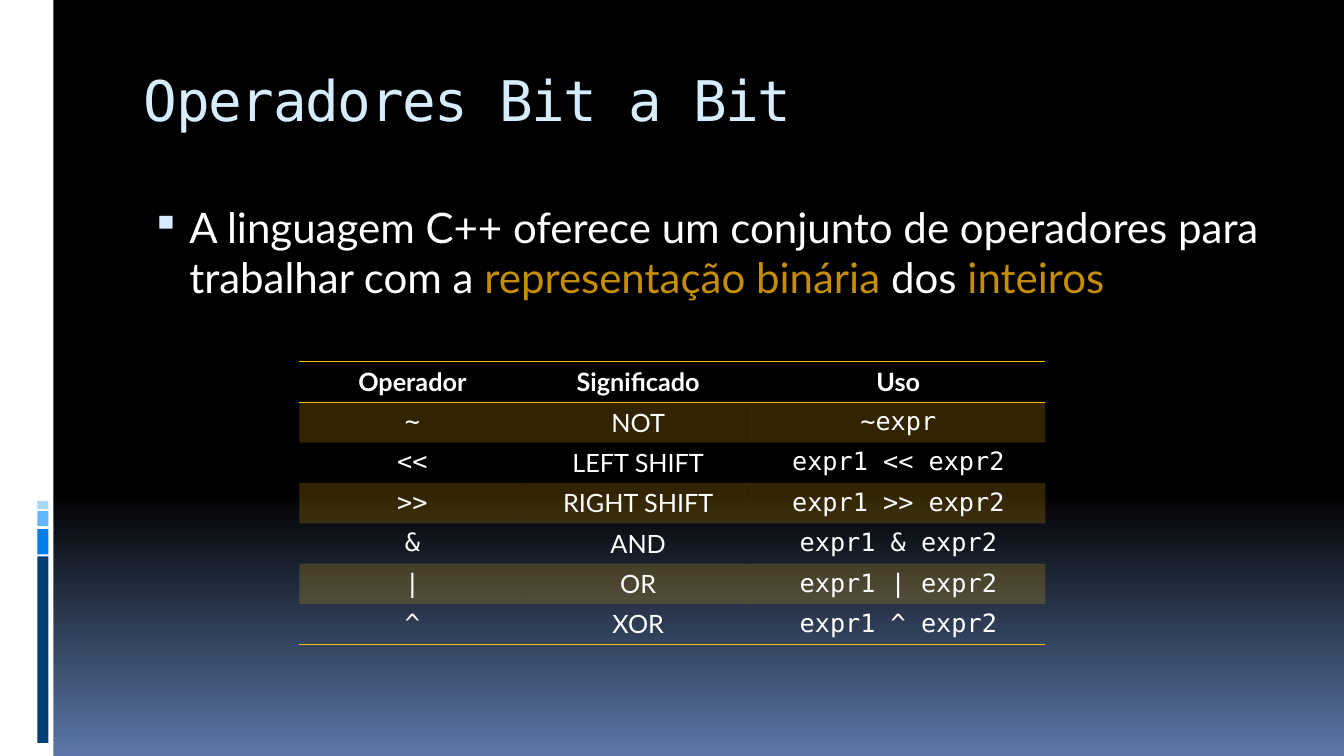
"""Build the slide on the bitwise operators of C++."""
from typing import NamedTuple

from lxml.etree import SubElement
from pptx import Presentation
from pptx.dml.color import RGBColor
from pptx.enum.shapes import MSO_SHAPE
from pptx.enum.text import MSO_ANCHOR, PP_ALIGN
from pptx.oxml import parse_xml
from pptx.oxml.ns import nsdecls, qn
from pptx.util import Inches, Pt

BLACK = RGBColor(0x00, 0x00, 0x00)
WHITE = RGBColor(0xFF, 0xFF, 0xFF)
HORIZON = RGBColor(0x5B, 0x77, 0xA8)
PALE_BLUE = RGBColor(0xD6, 0xEC, 0xFF)
NAVY = RGBColor(0x00, 0x3F, 0x75)
BLUE = RGBColor(0x00, 0x7E, 0xEB)
SKY = RGBColor(0x61, 0xB6, 0xFF)
ICE = RGBColor(0xA7, 0xD6, 0xFF)
AMBER = RGBColor(0xFE, 0xB8, 0x0A)
OCHRE = RGBColor(0xC5, 0x8D, 0x01)
MONO = "DejaVu Sans Mono"
SANS = "Lato"
PLAIN_TABLE_STYLE = "{2D5ABB26-0587-4C30-8999-92F81FD0307C}"


class Bar(NamedTuple):
    left: float
    top: float
    width: float
    height: float
    color: RGBColor


class Operator(NamedTuple):
    symbol: str
    meaning: str
    usage: str


BARS = [
    Bar(0, 0, 0.53, 7.5, WHITE),
    Bar(0.37, 5.52, 0.11, 1.85, NAVY),
    Bar(0.37, 5.25, 0.11, 0.25, BLUE),
    Bar(0.37, 5.07, 0.11, 0.15, SKY),
    Bar(0.37, 4.97, 0.11, 0.08, ICE),
]
SENTENCE = [
    ("A linguagem C++ oferece um conjunto de operadores para trabalhar com a ", WHITE),
    ("representação binária", OCHRE),
    (" dos ", WHITE),
    ("inteiros", OCHRE),
]
HEADINGS = Operator("Operador", "Significado", "Uso")
OPERATORS = [
    Operator("~", "NOT", "~expr"),
    Operator("<<", "LEFT SHIFT", "expr1 << expr2"),
    Operator(">>", "RIGHT SHIFT", "expr1 >> expr2"),
    Operator("&", "AND", "expr1 & expr2"),
    Operator("|", "OR", "expr1 | expr2"),
    Operator("^", "XOR", "expr1 ^ expr2"),
]
COLUMN_FONTS = Operator(MONO, SANS, MONO)
COLUMN_WIDTHS = [2.24, 2.24, 2.92]
ROW_HEIGHT = 0.4


def add_span(para, text: str, color: RGBColor, **formats):
    """Add a run with its colour and font formats."""
    span = para.add_run()
    span.text = text
    span.font.color.rgb = color
    for name, value in formats.items():
        setattr(span.font, name, value)
    return span


def paint_background(page) -> None:
    """Fade the page from black down to the horizon blue."""
    fill = page.background.fill
    fill.gradient()
    fill.gradient_angle = 270
    for stop, (position, color) in zip(fill.gradient_stops, [(0.65, BLACK), (1, HORIZON)]):
        stop.position = position
        stop.color.rgb = color


def add_bar(page, bar: Bar) -> None:
    """Draw one plain bar of the side rail."""
    shape = page.shapes.add_shape(
        MSO_SHAPE.RECTANGLE, Inches(bar.left), Inches(bar.top), Inches(bar.width), Inches(bar.height)
    )
    shape.shadow.inherit = False
    shape.fill.solid()
    shape.fill.fore_color.rgb = bar.color
    shape.line.fill.background()


def add_text_frame(page, top: float, height: float, **formats):
    """Add a wrapping text box in the main column."""
    box = page.shapes.add_textbox(Inches(1.33), Inches(top), Inches(11.33), Inches(height))
    settings = {"word_wrap": True, "vertical_anchor": MSO_ANCHOR.TOP} | formats
    for name, value in settings.items():
        setattr(box.text_frame, name, value)
    return box.text_frame


def add_title(page) -> None:
    """Write the title with slightly tightened letters."""
    frame = add_text_frame(page, 0.56, 1, margin_top=Inches(0.09))
    span = add_span(frame.paragraphs[0], "Operadores Bit a Bit", PALE_BLUE, name=MONO, size=Pt(40))
    span.font.fill.solid()
    span.font.color.rgb = PALE_BLUE
    span.font._element.set("spc", "-100")


def add_sentence(page) -> None:
    """Write the bulleted sentence with its highlighted terms."""
    para = add_text_frame(page, 1.95, 5).paragraphs[0]
    para.space_before = Pt(7)
    properties = para._p.get_or_add_pPr()
    properties.set("marL", str(Inches(0.45)))
    properties.set("indent", str(Inches(-0.38)))
    SubElement(SubElement(properties, qn("a:buClr")), qn("a:srgbClr"), val=str(PALE_BLUE))
    SubElement(properties, qn("a:buSzPct"), val="95000")
    SubElement(properties, qn("a:buChar"), char="▪")
    for text, color in SENTENCE:
        add_span(para, text, color, name=SANS, size=Pt(30))


def set_borders(cell, sides: list[str]) -> None:
    """Rule the given sides of a cell in amber."""
    properties = cell._tc.get_or_add_tcPr()
    for index, side in enumerate(sides):
        properties.insert(index, parse_xml(
            f'<a:ln{side} {nsdecls("a")} w="{Pt(1)}"><a:solidFill>'
            f'<a:srgbClr val="{AMBER}"/></a:solidFill></a:ln{side}>'
        ))


def fill_cell(cell, banded: bool) -> None:
    """Tint a banded cell with faint amber, or leave it clear."""
    if not banded:
        cell.fill.background()
        return
    cell.fill.solid()
    cell.fill.fore_color.rgb = AMBER
    for color in cell._tc.tcPr.iter(qn("a:srgbClr")):
        SubElement(color, qn("a:alpha"), val="20000")


def add_operator_table(page) -> None:
    """Lay out the operators, their meaning and their usage."""
    rows = [HEADINGS, *OPERATORS]
    frame = page.shapes.add_table(
        len(rows), len(COLUMN_WIDTHS), Inches(2.97), Inches(3.59),
        Inches(sum(COLUMN_WIDTHS)), Inches(ROW_HEIGHT * len(rows)),
    )
    table = frame.table
    table.first_row = table.horz_banding = False
    next(frame.element.iter(qn("a:tableStyleId"))).text = PLAIN_TABLE_STYLE
    for column, width in zip(table.columns, COLUMN_WIDTHS):
        column.width = Inches(width)
    borders = {0: ["T", "B"], len(rows) - 1: ["B"]}
    for row_index, row in enumerate(rows):
        table.rows[row_index].height = Inches(ROW_HEIGHT)
        heading = row_index == 0
        for column_index, (text, font) in enumerate(zip(row, COLUMN_FONTS)):
            cell = table.cell(row_index, column_index)
            para = cell.text_frame.paragraphs[0]
            para.alignment = PP_ALIGN.CENTER
            add_span(para, text, WHITE, name=SANS if heading else font, size=Pt(18), bold=heading)
            fill_cell(cell, row_index % 2 == 1)
            set_borders(cell, borders.get(row_index, []))


def main() -> None:
    """Compose and save the deck."""
    deck = Presentation()
    deck.slide_width, deck.slide_height = Inches(13.33), Inches(7.5)
    page = deck.slides.add_slide(deck.slide_layouts[6])
    paint_background(page)
    for bar in BARS:
        add_bar(page, bar)
    add_title(page)
    add_sentence(page)
    add_operator_table(page)
    deck.save("out.pptx")


main()
